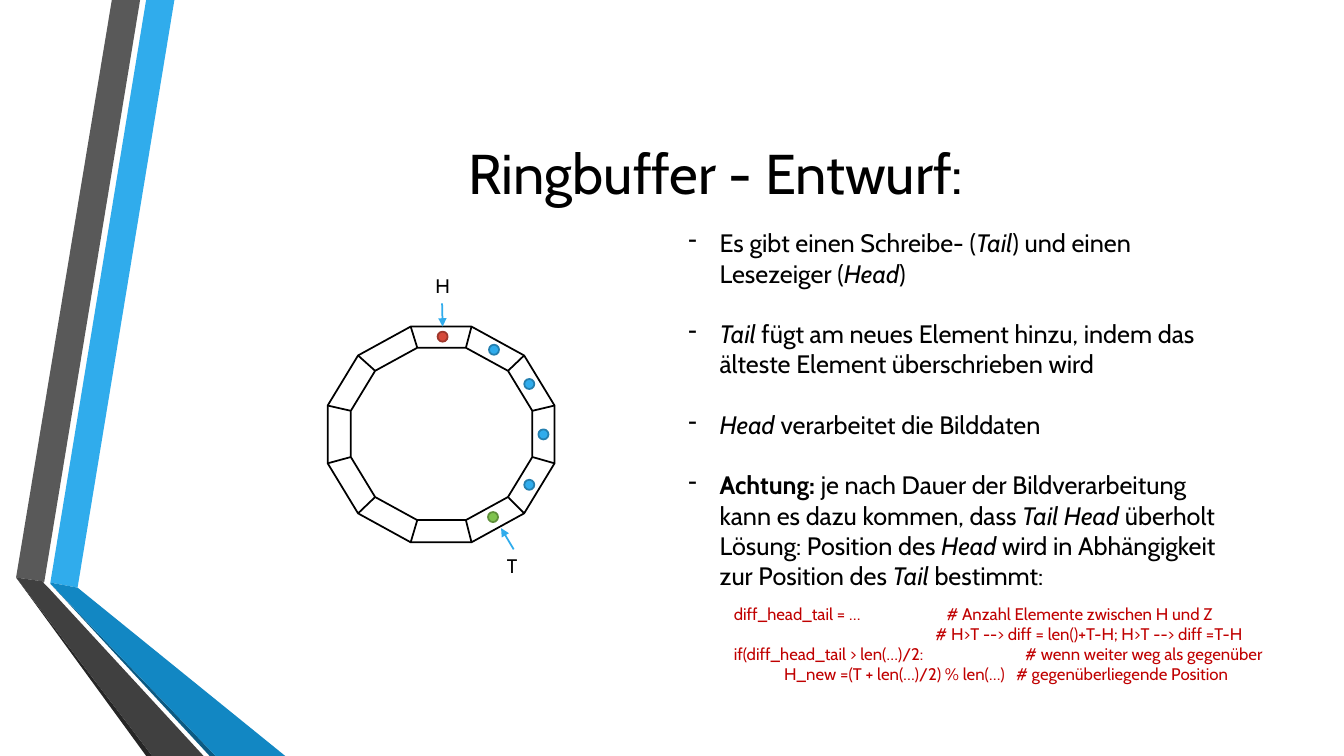
from dataclasses import dataclass
from math import cos, pi, sin

from lxml import etree
from pptx import Presentation
from pptx.dml.color import RGBColor
from pptx.enum.shapes import MSO_CONNECTOR, MSO_SHAPE
from pptx.enum.text import MSO_ANCHOR, PP_ALIGN
from pptx.oxml.ns import qn
from pptx.util import Pt

STRAIGHT = MSO_CONNECTOR.STRAIGHT
DODECAGON, OVAL = MSO_SHAPE.DODECAGON, MSO_SHAPE.OVAL
TOP, MIDDLE = MSO_ANCHOR.TOP, MSO_ANCHOR.MIDDLE
LEFT, CENTER = PP_ALIGN.LEFT, PP_ALIGN.CENTER
BOX_TOP, BOX_BOTTOM = 0, 2
PX = 9144  # 100 px to the inch


@dataclass(frozen=True)
class Theme:
    font: str = "Cabin"
    text: str = "000000"
    code: str = "C00000"
    paper: str = "FFFFFF"
    accent: str = "30ACEC"
    title_size: int = 40
    body_size: int = 18
    label_size: int = 14
    code_size: int = 12
    line_width: float = 1.25
    bullet_gap: float = 21.6


THEME = Theme()

# Content: a run is (text, style), style "i" italic, "b" bold or "" plain
TITLE = ((("Ringbuffer - Entwurf:", ""),),)
BULLETS = (
    (("Es gibt einen Schreibe- (", ""), ("Tail", "i"), (") und einen Lesezeiger (", ""),
     ("Head", "i"), (")", "")),
    (("Tail", "i"),
     (" fügt am neues Element hinzu, indem das älteste Element überschrieben wird", "")),
    (("Head ", "i"), ("verarbeitet die Bilddaten", "")),
    (("Achtung:", "b"),
     (" je nach Dauer der Bildverarbeitung kann es dazu kommen, dass ", ""),
     ("Tail Head ", "i"), ("überholt", ""), ("\n", ""), ("Lösung: Position des ", ""),
     ("Head", "i"), (" wird in Abhängigkeit zur Position des ", ""),
     ("Tail ", "i"), ("bestimmt:", "")),
)
# Code lines with their tab stops in px
CODE = (
    ("diff_head_tail = …\t# Anzahl Elemente zwischen H und Z", (211,)),
    ("\t# H>T --> diff = len()+T-H; H>T --> diff =T-H", (200,)),
    ("if(diff_head_tail > len(…)/2:\t# wenn weiter weg als gegenüber", (289,)),
    ("\tH_new =(T + len(…)/2) % len(…)\t# gegenüberliegende Position", (50, 280)),
)

# Geometry in px
RIBBONS = (
    ("30ACEC", ((50, 578), (77, 583), (173, 0), (145, 0))),
    ("595959", ((139, 0), (111, 0), (16, 573), (44, 577))),
    ("262626", ((16, 573), (145, 750), (151, 750))),
    ("0C5A82", ((50, 579), (208, 750), (214, 750))),
    ("1287C3", ((50, 579), (214, 750), (283, 750), (77, 583), (50, 578))),
    ("404040", ((202, 750), (48, 583), (43, 578), (44, 577), (16, 573), (151, 750))),
)
OUTER_RING = (325, 324, 225, 214)
INNER_RING = (348, 345, 180, 171)
SEGMENTS = 12
# Label, its box, the side its arrow leaves from, the arrow tip
POINTERS = (
    ("H", (422, 267, 33, 34), BOX_BOTTOM, (439, 324)),
    ("T", (493, 545, 33, 34), BOX_TOP, (497, 524)),
)
DOT_SIZE = 10
BLUE, RED, GREEN = (THEME.accent, "247FAF"), ("D64A3B", "9E372C"), ("80C34F", "5F903A")
DOTS = (
    (485, 342, BLUE), (434, 329, RED), (520, 376, BLUE),
    (534, 426, BLUE), (520, 476, BLUE), (484, 508, GREEN),
)


def emu(lengths):
    return [round(length * PX) for length in lengths]


def paint(shape, fill, line=None):
    shape.shadow.inherit = False
    shape.fill.solid()
    shape.fill.fore_color.rgb = RGBColor.from_string(fill)
    if line:
        shape.line.color.rgb = RGBColor.from_string(line)
        shape.line.width = Pt(THEME.line_width)
    else:
        shape.line.fill.background()


def add_line(slide, start, end, color, arrow=False):
    connector = slide.shapes.add_connector(STRAIGHT, *emu(start + end))
    connector.line.color.rgb = RGBColor.from_string(color)
    connector.line.width = Pt(THEME.line_width)
    if arrow:
        etree.SubElement(connector.line._get_or_add_ln(), qn("a:tailEnd"), type="triangle")
    etree.SubElement(connector._element.spPr, qn("a:effectLst"))
    return connector


def add_bullet(paragraph):
    paragraph.space_after = Pt(THEME.bullet_gap)
    properties = paragraph._p.get_or_add_pPr()
    properties.set("marL", str(31 * PX))
    properties.set("indent", str(-31 * PX))
    etree.SubElement(properties, qn("a:buChar"), char="-")


def add_tabs(paragraph, stops):
    tabs = etree.SubElement(paragraph._p.get_or_add_pPr(), qn("a:tabLst"))
    for stop in stops:
        etree.SubElement(tabs, qn("a:tab"), pos=str(stop * PX), algn="l")


def add_text(slide, box, paragraphs, size, color=THEME.text, align=LEFT,
             anchor=TOP, bullets=False, tabs=()):
    text_box = slide.shapes.add_textbox(*emu(box))
    frame = text_box.text_frame
    frame.word_wrap = True
    frame.vertical_anchor = anchor
    for index, runs in enumerate(paragraphs):
        paragraph = frame.add_paragraph() if index else frame.paragraphs[0]
        paragraph.alignment = align
        if bullets:
            add_bullet(paragraph)
        if tabs:
            add_tabs(paragraph, tabs[index])
        paragraph.font.name = THEME.font
        paragraph.font.size = Pt(size)
        paragraph.font.color.rgb = RGBColor.from_string(color)
        for text, style in runs:
            if text == "\n":
                paragraph.add_line_break()
                continue
            run = paragraph.add_run()
            run.text = text
            if style == "i":
                run.font.italic = True
            elif style == "b":
                run.font.bold = True
    return text_box


def ring_corner(ring, index):
    left, top, width, height = ring
    angle = (2 * index + 1) * pi / SEGMENTS
    radius = 0.5 / cos(pi / SEGMENTS)
    return (left + width * (0.5 + radius * cos(angle)),
            top + height * (0.5 + radius * sin(angle)))


def main():
    presentation = Presentation()
    presentation.slide_width, presentation.slide_height = emu((1333, 750))
    slide = presentation.slides.add_slide(presentation.slide_layouts[6])

    # Folded ribbons on the left
    for color, points in RIBBONS:
        builder = slide.shapes.build_freeform(*points[0], scale=PX)
        builder.add_line_segments(points[1:], close=True)
        paint(builder.convert_to_shape(), color)

    # Title, bullets and code
    add_text(slide, (162, 75, 1096, 192), TITLE, THEME.title_size,
             align=CENTER, anchor=MIDDLE)
    add_text(slide, (673, 221, 570, 374), BULLETS, THEME.body_size, bullets=True)
    add_text(slide, (718, 594, 570, 91), [((line, ""),) for line, _ in CODE],
             THEME.code_size, THEME.code, tabs=[stops for _, stops in CODE])

    # Ring with its segment borders
    for ring in (OUTER_RING, INNER_RING):
        paint(slide.shapes.add_shape(DODECAGON, *emu(ring)), THEME.paper, THEME.text)
    for index in range(SEGMENTS):
        add_line(slide, ring_corner(OUTER_RING, index), ring_corner(INNER_RING, index),
                 THEME.text)

    # Head and tail pointers
    for label, box, side, tip in POINTERS:
        label_box = add_text(slide, box, (((label, ""),),), THEME.label_size)
        arrow = add_line(slide, tip, tip, THEME.accent, arrow=True)
        arrow.begin_connect(label_box, side)

    # Buffer elements
    for left, top, (fill, line) in DOTS:
        dot = slide.shapes.add_shape(OVAL, *emu((left, top, DOT_SIZE, DOT_SIZE)))
        paint(dot, fill, line)

    presentation.save("out.pptx")


if __name__ == "__main__":
    main()
